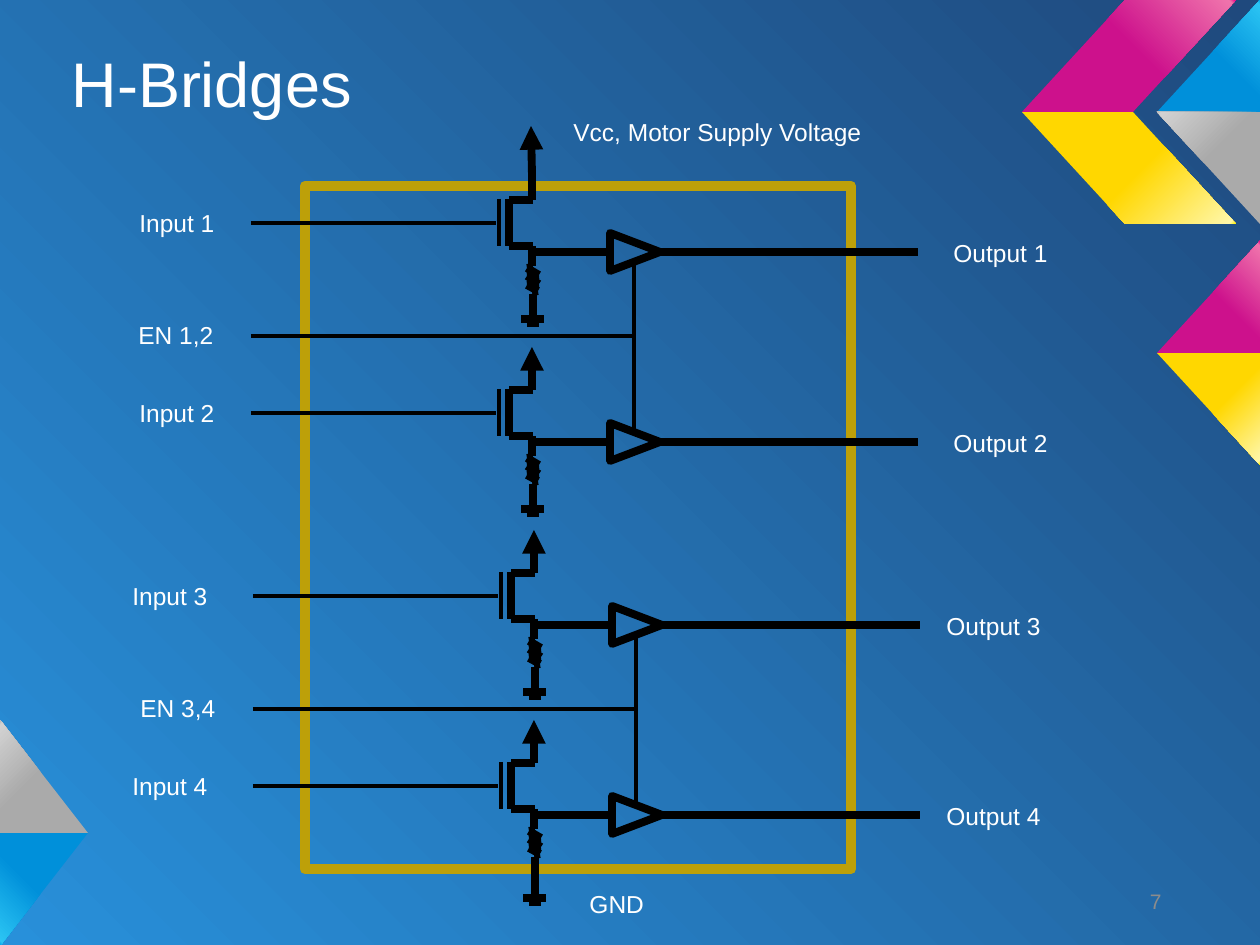
from itertools import pairwise

from lxml.etree import SubElement
from pptx import Presentation
from pptx.dml.color import RGBColor
from pptx.enum.shapes import MSO_CONNECTOR as Connector, MSO_SHAPE as Shape
from pptx.enum.text import MSO_ANCHOR as Anchor, MSO_AUTO_SIZE as AutoSize, PP_ALIGN as Align
from pptx.oxml.ns import qn
from pptx.util import Pt

PX = 914400 / 126
WIDTH, HEIGHT = 1260, 945
BLACK, WHITE, GOLD, GREY = "000000", "FFFFFF", "BDA009", "8C8C8C"
THIN, THICK, FRAME = 2.25, 4.5, 6
BLUES = ("0090DA", "2BC4F3", "00AEEE")
GREYS = ("AAAAAA", "D2D2D2", "B9B9B9")
PINKS = ("CD118C", "F074AC", "EB008B")
YELLOWS = ("FFD700", "FFF7A9", "FFF100")
RIBBONS = [
    (BLUES, 135, [(88, 833), (0, 833), (0, 945), (1, 945)]),
    (GREYS, 225, [(88, 833), (1, 721), (0, 721), (0, 833)]),
    (BLUES, 315, [(1260, 0), (1157, 112), (1260, 112)]),
    (GREYS, 225, [(1157, 112), (1260, 224), (1260, 112)]),
    (PINKS, 315, [(1133, 112), (1236, 0), (1125, 0), (1022, 112)]),
    (PINKS, 315, [(1260, 241), (1157, 353), (1260, 353)]),
    (YELLOWS, 45, [(1157, 353), (1260, 465), (1260, 353)]),
    (YELLOWS, 45, [(1133, 112), (1236, 224), (1125, 224), (1022, 112)]),
]
RESISTOR = [(34, 68), (28, 69), (40, 76), (28, 77), (40, 85), (28, 86), (39, 92), (33, 93)]
STAGE_GAP = 190


def px(*lengths):
    """Turn px lengths into EMU."""
    return [round(length * PX) for length in lengths]


def color(value):
    """Turn a hex string into a colour."""
    return RGBColor.from_string(value)


def set_gradient(element, stops):
    """Replace the stops of the gradient in an element and return the gradient."""
    gradient = element.find(".//" + qn("a:gradFill"))
    for child in list(gradient):
        gradient.remove(child)
    stop_list = SubElement(gradient, qn("a:gsLst"))
    for position, value in stops:
        stop = SubElement(stop_list, qn("a:gs"), pos=str(position * 1000))
        SubElement(stop, qn("a:srgbClr"), val=value)
    return gradient


def add_background(slide):
    """Fill the background with a glow from the lower left corner."""
    slide.background.fill.gradient()
    gradient = set_gradient(slide.element, [(0, "2890DA"), (100, "1F497D")])
    circle = SubElement(gradient, qn("a:path"), {"path": "circle"})
    SubElement(circle, qn("a:fillToRect"), t="100000", r="100000")


def add_ribbon(slide, shades, angle, points):
    """Draw one folded ribbon piece with a linear gradient."""
    builder = slide.shapes.build_freeform(*points[0], scale=PX)
    builder.add_line_segments(points[1:], close=True)
    shape = builder.convert_to_shape()
    shape.shadow.inherit = False
    shape.line.fill.background()
    shape.fill.gradient()
    base, light, end = shades
    gradient = set_gradient(shape.element, [(0, base), (54, base), (98, light), (100, end)])
    SubElement(gradient, qn("a:lin"), ang=str(angle * 60000), scaled="0")


def format_text(frame, text, size, value, align=Align.LEFT):
    """Set one formatted line of text."""
    frame.text = text
    paragraph = frame.paragraphs[0]
    paragraph.alignment = align
    font = paragraph.runs[0].font
    font.name, font.size = "Arial", Pt(size)
    font.color.rgb = color(value)


def add_title(slide, text, box):
    """Place the title placeholder in a box."""
    title = slide.shapes.title
    title.left, title.top, title.width, title.height = px(*box)
    frame = title.text_frame
    frame.auto_size, frame.vertical_anchor = AutoSize.NONE, Anchor.BOTTOM
    frame.margin_left = frame.margin_top = frame.margin_right = frame.margin_bottom = px(12.6)[0]
    format_text(frame, text, 36, WHITE)


def add_page_number(slide, text, box):
    """Write the page number at the right of a box."""
    frame = slide.shapes.add_textbox(*px(*box)).text_frame
    frame.word_wrap, frame.vertical_anchor = True, Anchor.MIDDLE
    format_text(frame, text, 12, GREY, Align.RIGHT)


def add_label(slide, text, left, top, width):
    """Write a one-line signal label."""
    frame = slide.shapes.add_textbox(*px(left, top, width, 43)).text_frame
    frame.word_wrap, frame.auto_size = False, AutoSize.SHAPE_TO_FIT_TEXT
    format_text(frame, text, 14, WHITE)


def add_outline(slide, kind, box, value, weight):
    """Draw an unfilled preset shape."""
    shape = slide.shapes.add_shape(kind, *px(*box))
    shape.shadow.inherit = False
    shape.fill.background()
    shape.line.color.rgb, shape.line.width = color(value), Pt(weight)
    return shape


def add_wire(slide, origin, start, end, weight=THICK, arrow=False):
    """Draw a wire between two points given from an origin."""
    x, y = origin
    ends = px(x + start[0], y + start[1], x + end[0], y + end[1])
    wire = slide.shapes.add_connector(Connector.STRAIGHT, *ends)
    wire.line.color.rgb, wire.line.width = color(BLACK), Pt(weight)
    if arrow:
        SubElement(wire.line._get_or_add_ln(), qn("a:tailEnd"), type="triangle")
    SubElement(wire.element.spPr, qn("a:effectLst"))


def add_stage(slide, origin, number, label_shift, supply=(33, -42), ground=120):
    """Draw a transistor with resistor, ground, buffer and its labels."""
    x, y = origin
    for start, end in [((0, 0), (0, 47)), ((-248, 24), (-3, 24))]:
        add_wire(slide, origin, start, end, THIN)
    wires = [
        ((10, 0), (10, 47)), ((34, 1), (10, 1)), ((34, 47), (10, 47)),
        ((33, -28), (33, 1)), ((33, 47), (33, 67)),
        *pairwise(RESISTOR),
        ((34, 95), (34, ground)), ((45, ground), (22, ground)),
        ((40, ground + 4), (28, ground + 4)),
        ((110, 53), (33, 53)), ((419, 53), (161, 53)),
    ]
    for start, end in wires:
        add_wire(slide, origin, start, end)
    add_wire(slide, origin, (33, -25), supply, arrow=True)
    buffer = add_outline(slide, Shape.ISOSCELES_TRIANGLE, (x + 117, y + 28, 38, 50), BLACK, THICK)
    buffer.rotation = 90
    add_label(slide, f"Input {number}", x - 372 + label_shift, y + 3, 101)
    add_label(slide, f"Output {number}", x + 442 + label_shift, y + 33, 120)


def add_bank(slide, origin, number, label_shift, first={}, second={}):
    """Draw two stages that share an enable line."""
    x, y = origin
    add_stage(slide, origin, number, label_shift, **first)
    add_stage(slide, (x, y + STAGE_GAP), number + 1, label_shift, **second)
    add_wire(slide, origin, (135, 62), (135, 233), THIN)
    add_wire(slide, origin, (-248, 137), (136, 137), THIN)
    add_label(slide, f"EN {number},{number + 1}", x - 373, y + 115, 101)


def main():
    """Build the slide and save it."""
    presentation = Presentation()
    presentation.slide_width, presentation.slide_height = px(WIDTH, HEIGHT)
    slide = presentation.slides.add_slide(presentation.slide_layouts[5])
    add_background(slide)
    for ribbon in RIBBONS:
        add_ribbon(slide, *ribbon)
    add_outline(slide, Shape.RECTANGLE, (305, 186, 546, 683), GOLD, FRAME)
    add_title(slide, "H-Bridges", (59, -25, 948, 158))
    add_page_number(slide, "7", (890, 876, 284, 50))
    add_bank(slide, (499, 199), 1, 0, first={"supply": (32, -73)})
    add_bank(slide, (501, 572), 3, -9, second={"ground": 136})
    add_label(slide, "Vcc, Motor Supply Voltage", 561, 111, 316)
    add_label(slide, "GND", 577, 883, 81)
    presentation.save("out.pptx")


if __name__ == "__main__":
    main()
